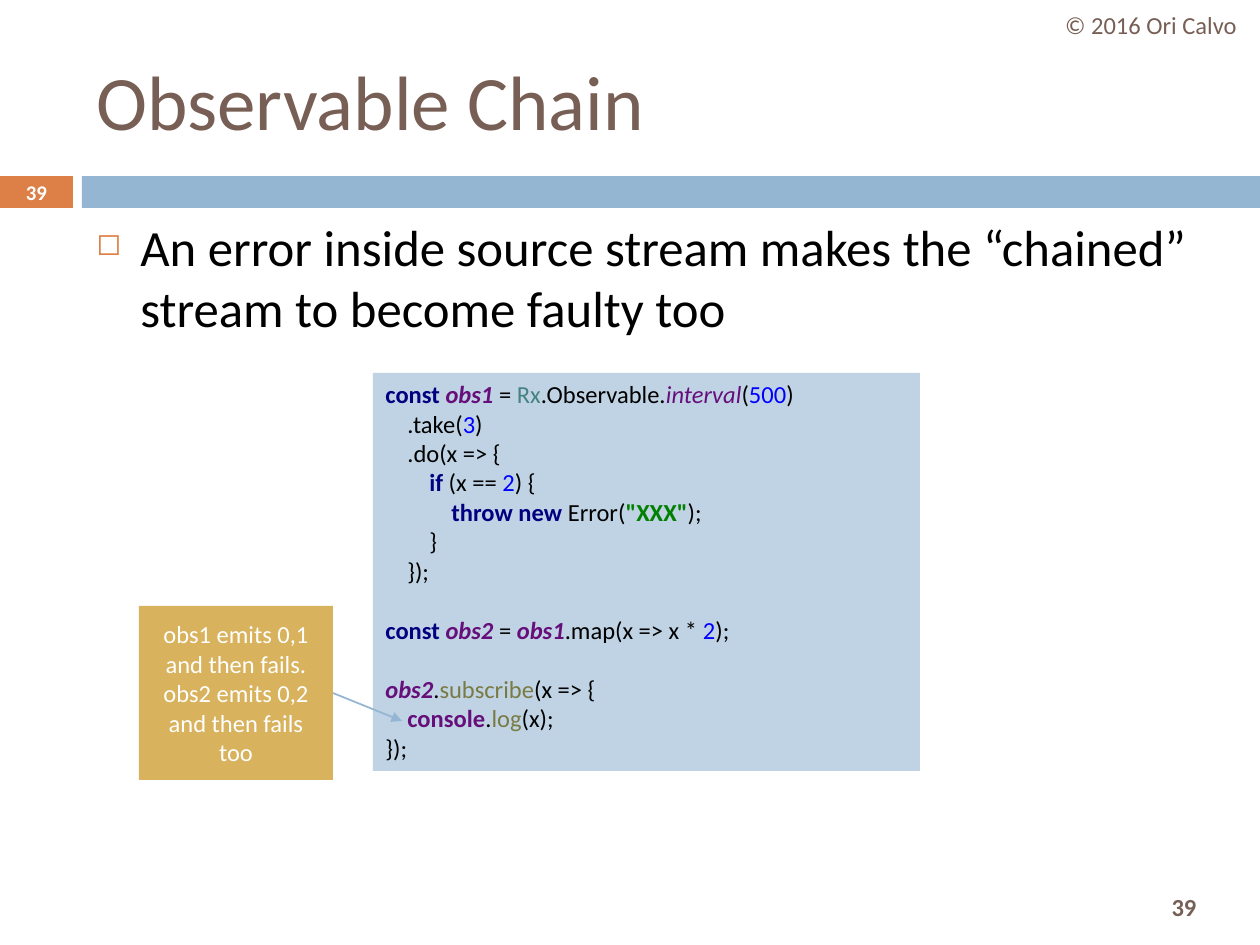
from lxml import etree
from pptx import Presentation
from pptx.dml.color import RGBColor
from pptx.enum.shapes import MSO_CONNECTOR, MSO_SHAPE
from pptx.enum.text import MSO_ANCHOR, PP_ALIGN
from pptx.oxml.ns import qn
from pptx.util import Pt

PX = 914400 / 126
BROWN, ORANGE, BLUE, GOLD = "775F55", "DD8047", "94B6D2", "D8B25C"

prs = Presentation()
prs.slide_width, prs.slide_height = round(1260 * PX), round(945 * PX)
s = prs.slides.add_slide(prs.slide_layouts[6])


def box(x, y, w, h, fill=None, anchor=MSO_ANCHOR.MIDDLE):
    """Add a filled rectangle, or a text box without fill; return its text frame."""
    place = [round(v * PX) for v in (x, y, w, h)]
    if fill:
        sp = s.shapes.add_shape(MSO_SHAPE.RECTANGLE, *place)
        sp.shadow.inherit = False
        sp.fill.solid()
        sp.fill.fore_color.rgb = RGBColor.from_string(fill)
        sp.line.fill.background()
    else:
        sp = s.shapes.add_textbox(*place)
    tf = sp.text_frame
    tf.word_wrap = True
    tf.vertical_anchor = anchor
    return tf


def write(p, text, size=14, color="000000", bold=False, italic=False, align=PP_ALIGN.LEFT):
    p.alignment = align
    r = p.add_run()
    r.text = text
    r.font.name, r.font.size = "Calibri", Pt(size)
    r.font.bold, r.font.italic = bold, italic
    r.font.color.rgb = RGBColor.from_string(color)


# Header band, title and page numbers
box(0, 176, 73, 32, ORANGE)
box(82, 176, 1178, 32, BLUE)
center = PP_ALIGN.CENTER
write(box(1126, 880, 116, 53).paragraphs[0], "39", color=BROWN, bold=True, align=center)
write(box(84, 32, 1124, 136).paragraphs[0], "Observable Chain", size=44, color=BROWN)
write(box(1042, 0, 218, 50).paragraphs[0], "© 2016 Ori Calvo", color=BROWN, align=center)
write(box(0, 175, 73, 34).paragraphs[0], "39", size=11.9, color="FFFFFF", bold=True, align=center)

# Bullet
p = box(84, 210, 1124, 620, anchor=MSO_ANCHOR.TOP).paragraphs[0]
p.space_before = Pt(7)
write(p, "An error inside source stream makes the “chained” stream to become faulty too", size=29)
pPr = p._p.get_or_add_pPr()
pPr.set("marL", str(round(44 * PX)))
pPr.set("indent", str(round(-44 * PX)))
bullet_color = etree.SubElement(pPr, qn("a:buClr"))
etree.SubElement(bullet_color, qn("a:srgbClr"), val=ORANGE)
etree.SubElement(pPr, qn("a:buSzPct"), val="60000")
etree.SubElement(pPr, qn("a:buChar"), char="◻")

# Code: each line is its indent level, the space before it in points, and its tokens
PLAIN = {}
KEYWORD = dict(color="000080", bold=True)
VAR = dict(color="660E7A", bold=True, italic=True)
STATIC = dict(color="660E7A", italic=True)
GLOBAL = dict(color="660E7A", bold=True)
TYPE = dict(color="458383")
NUMBER = dict(color="0000FF")
STRING = dict(color="008000", bold=True)
METHOD = dict(color="7A7A43")
code = [
    (0, 0, [("const ", KEYWORD), ("obs1 ", VAR), ("= ", PLAIN), ("Rx", TYPE),
            (".Observable.", PLAIN), ("interval", STATIC), ("(", PLAIN),
            ("500", NUMBER), (")", PLAIN)]),
    (1, 0, [(".take(", PLAIN), ("3", NUMBER), (")", PLAIN)]),
    (1, 0, [(".do(x => {", PLAIN)]),
    (2, 0, [("if ", KEYWORD), ("(x == ", PLAIN), ("2", NUMBER), (") {", PLAIN)]),
    (3, 0, [("throw new ", KEYWORD), ("Error(", PLAIN), ('"XXX"', STRING), (");", PLAIN)]),
    (2, 0, [("}", PLAIN)]),
    (1, 0, [("});", PLAIN)]),
    (0, 17, [("const ", KEYWORD), ("obs2 ", VAR), ("= ", PLAIN), ("obs1", VAR),
             (".map(x => x * ", PLAIN), ("2", NUMBER), (");", PLAIN)]),
    (0, 17, [("obs2", VAR), (".", PLAIN), ("subscribe", METHOD), ("(x => {", PLAIN)]),
    (1, 0, [("console", GLOBAL), (".", PLAIN), ("log", METHOD), ("(x);", PLAIN)]),
    (0, 0, [("});", PLAIN)]),
]
tf = box(373, 373, 547, 398, "BFD3E4", MSO_ANCHOR.TOP)
for i, (level, gap, tokens) in enumerate(code):
    p = tf.add_paragraph() if i else tf.paragraphs[0]
    p.space_before = Pt(gap)
    p._p.get_or_add_pPr().set("marL", str(round(level * 22 * PX)))
    for text, style in tokens:
        write(p, text, **style)

# Callout and its arrow
write(box(139, 606, 194, 174, GOLD).paragraphs[0],
      "obs1 emits 0,1 and then fails. obs2 emits 0,2 and then fails too",
      color="FFFFFF", align=center)
arrow = s.shapes.add_connector(MSO_CONNECTOR.STRAIGHT, *[round(v * PX) for v in (333, 693, 402, 721)])
arrow.line.color.rgb = RGBColor.from_string(BLUE)
arrow.line.width = Pt(1)
etree.SubElement(arrow.line._get_or_add_ln(), qn("a:tailEnd"), type="triangle")
etree.SubElement(arrow._element.spPr, qn("a:effectLst"))

prs.save("out.pptx")
